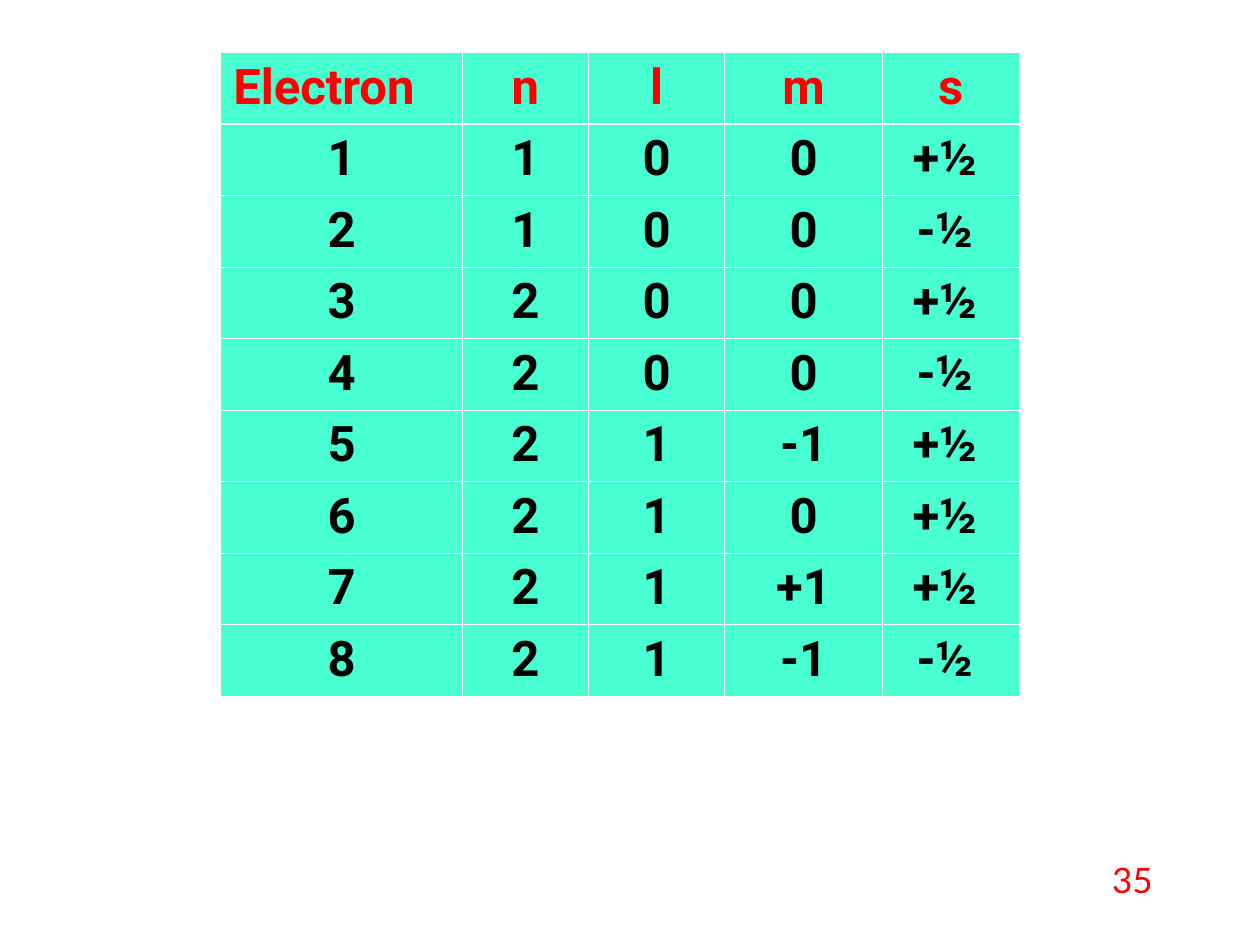
from lxml import etree
from pptx import Presentation
from pptx.dml.color import RGBColor
from pptx.enum.text import PP_ALIGN
from pptx.oxml.ns import qn
from pptx.util import Cm, Pt

LEFT = PP_ALIGN.LEFT
CENTER = PP_ALIGN.CENTER
RIGHT = PP_ALIGN.RIGHT

RED = RGBColor(0xFF, 0x00, 0x00)
BLACK = RGBColor(0x00, 0x00, 0x00)
WHITE = RGBColor(0xFF, 0xFF, 0xFF)
AQUA = RGBColor(0x47, 0xFF, 0xD1)

QUANTUM_NUMBERS = [
    ("Electron", "n", "l", "m", "s"),
    ("1", "1", "0", "0", "+½ "),
    ("2", "1", "0", "0", "-½ "),
    ("3", "2", "0", "0", "+½ "),
    ("4", "2", "0", "0", "-½ "),
    ("5", "2", "1", "-1", "+½ "),
    ("6", "2", "1", "0", "+½ "),
    ("7", "2", "1", "+1", "+½ "),
    ("8", "2", "1", "-1", "-½ "),
]
COLUMN_WIDTHS = [4.87, 2.54, 2.75, 3.18, 2.75]
ROW_HEIGHT = 1.44
THIN, THICK = Pt(0.45), Pt(1.47)


class SlideBuilder:
    cell_font = {"name": "Roboto", "size": Pt(28), "bold": True}
    number_font = {"name": "Lato", "size": Pt(20), "bold": False}

    def __init__(self, slide):
        self.slide = slide

    def set_text(self, frame, text, font_values, color, alignment):
        paragraph = frame.paragraphs[0]
        paragraph.alignment = alignment
        run = paragraph.add_run()
        run.text = text
        for attribute, value in font_values.items():
            setattr(run.font, attribute, value)
        run.font.color.rgb = color
        return paragraph

    def border(self, cell, widths):
        properties = cell._tc.get_or_add_tcPr()
        for side, width in widths.items():
            line = etree.SubElement(properties, qn(f"a:ln{side}"), w=str(width))
            fill = etree.SubElement(line, qn("a:solidFill"))
            etree.SubElement(fill, qn("a:srgbClr"), val=str(WHITE))

    def table(self, left, top, column_widths, row_height, rows):
        table = self.slide.shapes.add_table(
            len(rows), len(column_widths), Cm(left), Cm(top),
            Cm(sum(column_widths)), Cm(row_height * len(rows))
        ).table
        table.horz_banding = False
        for column, width in zip(table.columns, column_widths):
            column.width = Cm(width)
        for r, values in enumerate(rows):
            table.rows[r].height = Cm(row_height)
            edges = {
                "L": THIN,
                "R": THIN,
                "T": THICK if r == 1 else THIN,
                "B": THICK if r == 0 else THIN,
            }
            for c, value in enumerate(values):
                cell = table.cell(r, c)
                self.border(cell, edges)
                cell.fill.solid()
                cell.fill.fore_color.rgb = AQUA
                self.set_text(
                    cell.text_frame, value, self.cell_font,
                    RED if r == 0 else BLACK,
                    LEFT if r == c == 0 else CENTER,
                )

    def page_number(self, left, top, width, height, text):
        frame = self.slide.shapes.add_textbox(
            Cm(left), Cm(top), Cm(width), Cm(height)
        ).text_frame
        frame.word_wrap = True
        paragraph = self.set_text(frame, text, self.number_font, RED, RIGHT)
        paragraph.line_spacing = 0.8


def main():
    presentation = Presentation()
    presentation.slide_width = Cm(25.4)
    presentation.slide_height = Cm(19.05)
    blank_layout = presentation.slide_layouts[6]
    builder = SlideBuilder(presentation.slides.add_slide(blank_layout))
    builder.page_number(18.2, 17.35, 5.29, 1.27, "35")
    builder.table(4.45, 1.06, COLUMN_WIDTHS, ROW_HEIGHT, QUANTUM_NUMBERS)
    presentation.save("out.pptx")


if __name__ == "__main__":
    main()
